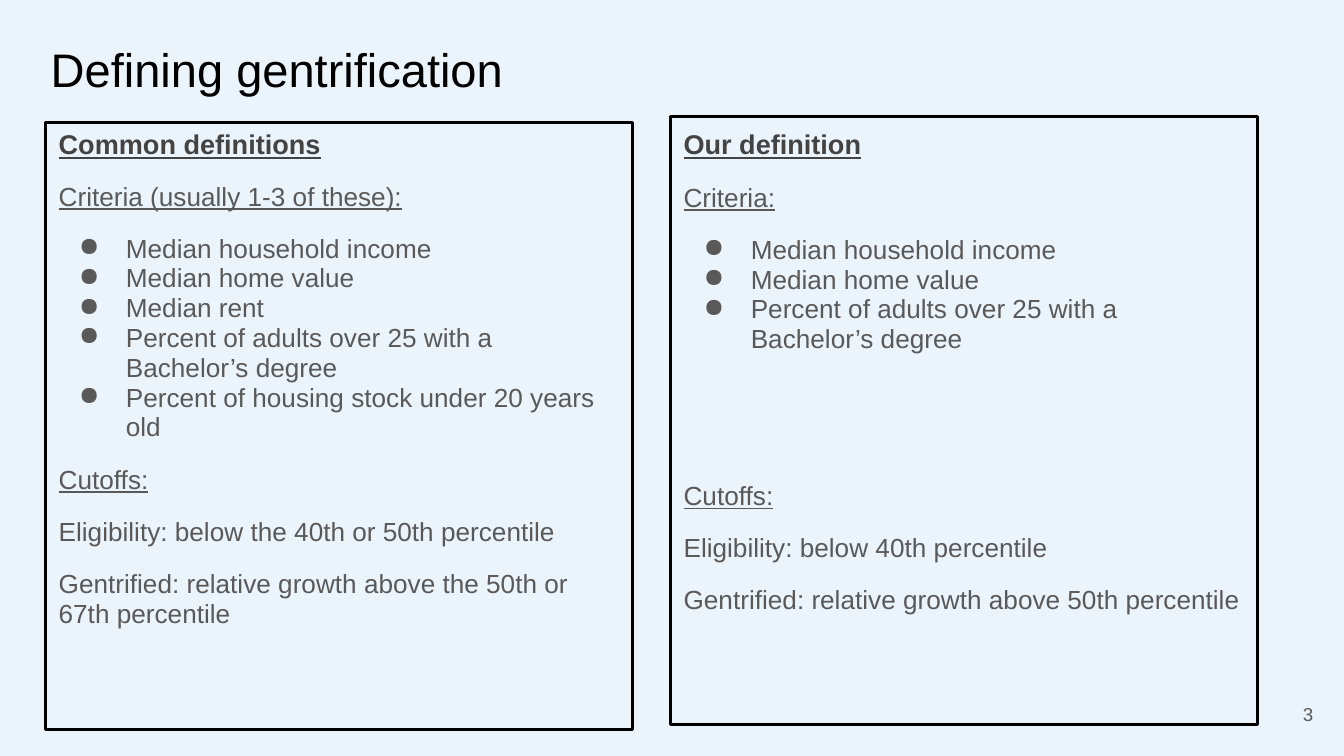
from lxml.etree import SubElement
from pptx import Presentation
from pptx.dml.color import RGBColor
from pptx.enum.shapes import MSO_SHAPE
from pptx.enum.text import MSO_ANCHOR, PP_ALIGN
from pptx.oxml.ns import qn
from pptx.util import Cm, Pt

GREY = "595959"


def color(value):
    return RGBColor.from_string(value)


def add_span(para, text, size, value, bold=False, underline=False):
    """Add one run of Arial text to the paragraph."""
    span = para.add_run()
    span.text = text
    span.font.name = "Arial"
    span.font.size = Pt(size)
    span.font.color.rgb = color(value)
    span.font.bold = bold
    span.font.underline = underline


deck = Presentation()
deck.slide_width, deck.slide_height = Cm(25.4), Cm(14.29)
page = deck.slides.add_slide(deck.slide_layouts[6])
page.background.fill.solid()
page.background.fill.fore_color.rgb = color("EBF3FB")

title = page.shapes.add_textbox(Cm(0.71), Cm(0.51), Cm(23.67), Cm(1.6))
title.text_frame.word_wrap = True
add_span(title.text_frame.paragraphs[0], "Defining gentrification", 25.2, "000000")

# Each panel: left, top, heading line spacing, space before the cutoffs, lines
panels = [
    (0.86, 2.31, 0.75, 12, [
        ("heading", "Common definitions"),
        ("label", "Criteria (usually 1-3 of these):"),
        ("bullet", "Median household income"),
        ("bullet", "Median home value"),
        ("bullet", "Median rent"),
        ("bullet", "Percent of adults over 25 with a Bachelor’s degree"),
        ("bullet", "Percent of housing stock under 20 years old"),
        ("label", "Cutoffs:"),
        ("plain", "Eligibility: below the 40th or 50th percentile"),
        ("plain", "Gentrified: relative growth above the 50th or 67th percentile"),
    ]),
    (12.67, 2.21, 0.95, 68, [
        ("heading", "Our definition"),
        ("label", "Criteria:"),
        ("bullet", "Median household income"),
        ("bullet", "Median home value"),
        ("bullet", "Percent of adults over 25 with a Bachelor’s degree"),
        ("label", "Cutoffs:"),
        ("plain", "Eligibility: below 40th percentile"),
        ("plain", "Gentrified: relative growth above 50th percentile"),
    ]),
]

for left, top, heading_spacing, cutoffs_gap, lines in panels:
    box = page.shapes.add_shape(
        MSO_SHAPE.RECTANGLE, Cm(left), Cm(top), Cm(11.1), Cm(11.48))
    box.shadow.inherit = False
    box.fill.background()
    box.line.color.rgb = color("000000")
    box.line.width = Pt(1.5)
    frame = box.text_frame
    frame.word_wrap = True
    frame.vertical_anchor = MSO_ANCHOR.TOP
    frame.margin_left = frame.margin_right = Cm(0.25)
    frame.margin_top = frame.margin_bottom = Cm(0.25)

    previous = None
    for kind, text in lines:
        para = frame.add_paragraph() if previous else frame.paragraphs[0]
        para.alignment = PP_ALIGN.LEFT
        para.line_spacing = heading_spacing if kind == "heading" else 0.95
        if kind == "bullet":
            properties = para._p.get_or_add_pPr()
            properties.set("marL", str(Cm(1.27)))
            properties.set("indent", str(-Cm(0.89)))
            bullet_color = SubElement(properties, qn("a:buClr"))
            SubElement(bullet_color, qn("a:srgbClr"), val=GREY)
            SubElement(properties, qn("a:buChar"), char="●")
        if text == "Cutoffs:":
            para.space_before = Pt(cutoffs_gap)
        elif previous and not (kind == previous == "bullet"):
            para.space_before = Pt(12)
        if kind == "heading":
            add_span(para, text, 14.5, "434343", bold=True, underline=True)
        else:
            add_span(para, text, 14, GREY, underline=kind == "label")
        previous = kind

number = page.shapes.add_textbox(Cm(23.55), Cm(12.95), Cm(1.52), Cm(1.09))
number.text_frame.word_wrap = True
number.text_frame.vertical_anchor = MSO_ANCHOR.MIDDLE
number.text_frame.paragraphs[0].alignment = PP_ALIGN.RIGHT
add_span(number.text_frame.paragraphs[0], "3", 10, GREY)

for box in (title, number):
    frame = box.text_frame
    frame.margin_left = frame.margin_right = Cm(0.25)
    frame.margin_top = frame.margin_bottom = Cm(0.25)

deck.save("out.pptx")
